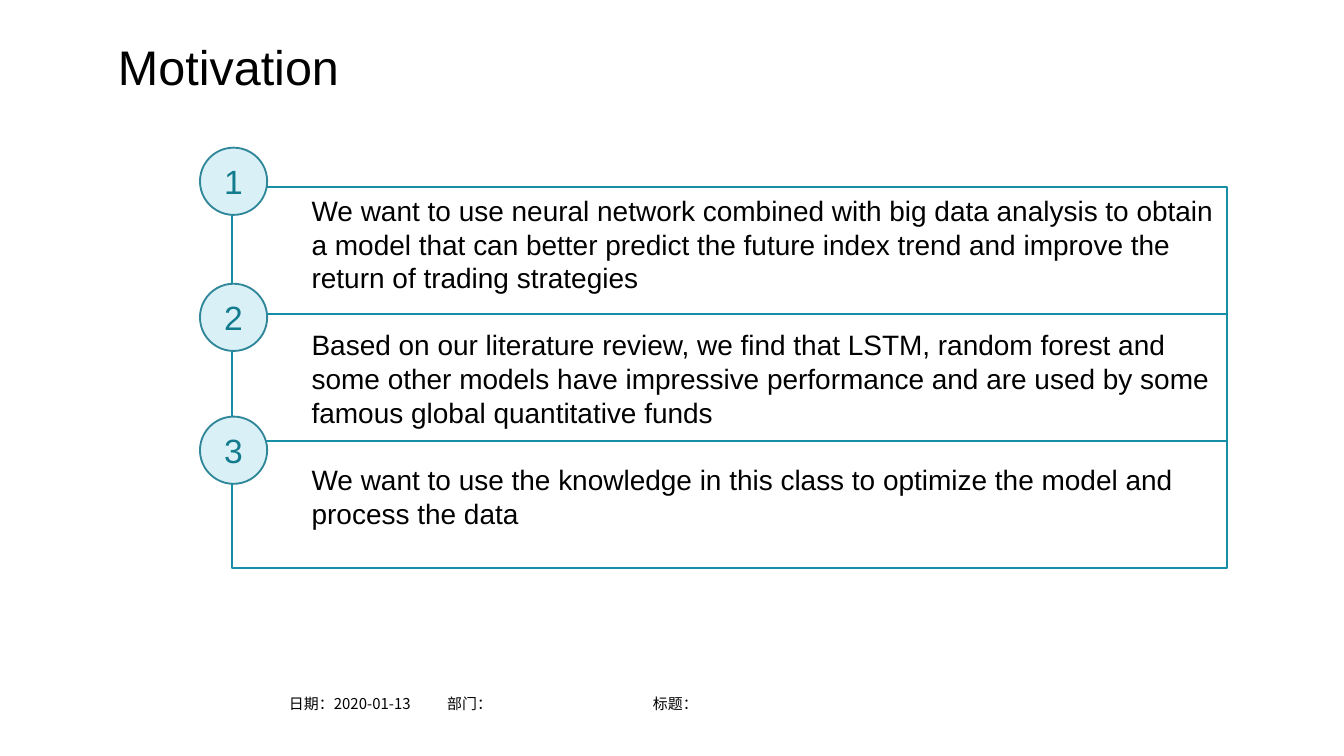
from lxml import etree
from pptx import Presentation
from pptx import util as u
from pptx.dml.color import RGBColor
from pptx.enum import shapes, text
from pptx.oxml.ns import qn

BLACK = RGBColor(0x00, 0x00, 0x00)
WHITE = RGBColor(0xFF, 0xFF, 0xFF)
FRAME_TEAL = RGBColor(0x16, 0x8E, 0xA6)
BADGE_FILL = RGBColor(0xD9, 0xF1, 0xF6)
BADGE_LINE = RGBColor(0x30, 0x87, 0x9A)
BADGE_TEXT = RGBColor(0x13, 0x7B, 0x8E)

FOOTER = [
    (5.21, 3.0, "日期：2020-01-13"),
    (8.2, 2.9, "部门："),
    (12.09, 2.9, "标题："),
]
REASONS = [
    "We want to use neural network combined with big data analysis to obtain a model "
    "that can better predict the future index trend and improve the return of trading strategies",
    "Based on our literature review, we find that LSTM, random forest and some other models "
    "have impressive performance and are used by some famous global quantitative funds",
    "We want to use the knowledge in this class to optimize the model and process the data",
]
BADGE_TOPS = [2.79, 5.36, 7.87]
ROW_TOP, ROW_HEIGHT = 3.53, 2.4

presentation = Presentation()
presentation.slide_width = u.Cm(25.4)
presentation.slide_height = u.Cm(14.28)
slide = presentation.slides.add_slide(presentation.slide_layouts[6])


def add_text(left, top, width, height, lines, size, font="Arial"):
    box = slide.shapes.add_textbox(u.Cm(left), u.Cm(top), u.Cm(width), u.Cm(height))
    frame = box.text_frame
    frame.word_wrap = True
    frame.text = "\n".join(lines)
    for paragraph in frame.paragraphs:
        for run in paragraph.runs:
            run.font.size = u.Pt(size)
            run.font.name = font
            run.font.color.rgb = BLACK
            east_asian = etree.SubElement(run.font._element, qn("a:ea"))
            east_asian.set("typeface", font)
    return frame


def add_outlined(preset, left, top, width, height, fill, line):
    shape = slide.shapes.add_shape(preset, u.Cm(left), u.Cm(top), u.Cm(width), u.Cm(height))
    shape.shadow.inherit = False
    shape.fill.solid()
    shape.fill.fore_color.rgb = fill
    shape.line.color.rgb = line
    shape.line.width = u.Pt(1)
    return shape


for left, width, label in FOOTER:
    add_text(left, 13.0, width, 0.6, [label], 8, "Noto Sans CJK SC")

for row in range(len(REASONS)):
    add_outlined(shapes.MSO_SHAPE.RECTANGLE, 4.39, ROW_TOP + row * ROW_HEIGHT,
                 18.8, ROW_HEIGHT, WHITE, FRAME_TEAL)

add_text(1.98, 0.58, 6.99, 1.37, ["Motivation"], 26)

reasons_frame = add_text(5.64, ROW_TOP, 17.75, 6.68, REASONS, 15)
for index, paragraph in enumerate(reasons_frame.paragraphs):
    paragraph.line_spacing = u.Pt(18)
    if index:
        paragraph.space_before = u.Pt(18)

for number, top in enumerate(BADGE_TOPS, start=1):
    badge = add_outlined(shapes.MSO_SHAPE.OVAL, 3.78, top, 1.27, 1.27, BADGE_FILL, BADGE_LINE)
    frame = badge.text_frame
    frame.margin_left = frame.margin_right = frame.margin_top = frame.margin_bottom = 0
    frame.vertical_anchor = text.MSO_ANCHOR.MIDDLE
    frame.text = str(number)
    paragraph = frame.paragraphs[0]
    paragraph.alignment = text.PP_ALIGN.CENTER
    font = paragraph.runs[0].font
    font.size = u.Pt(18)
    font.name = "Arial"
    font.color.rgb = BADGE_TEXT

presentation.save("out.pptx")
